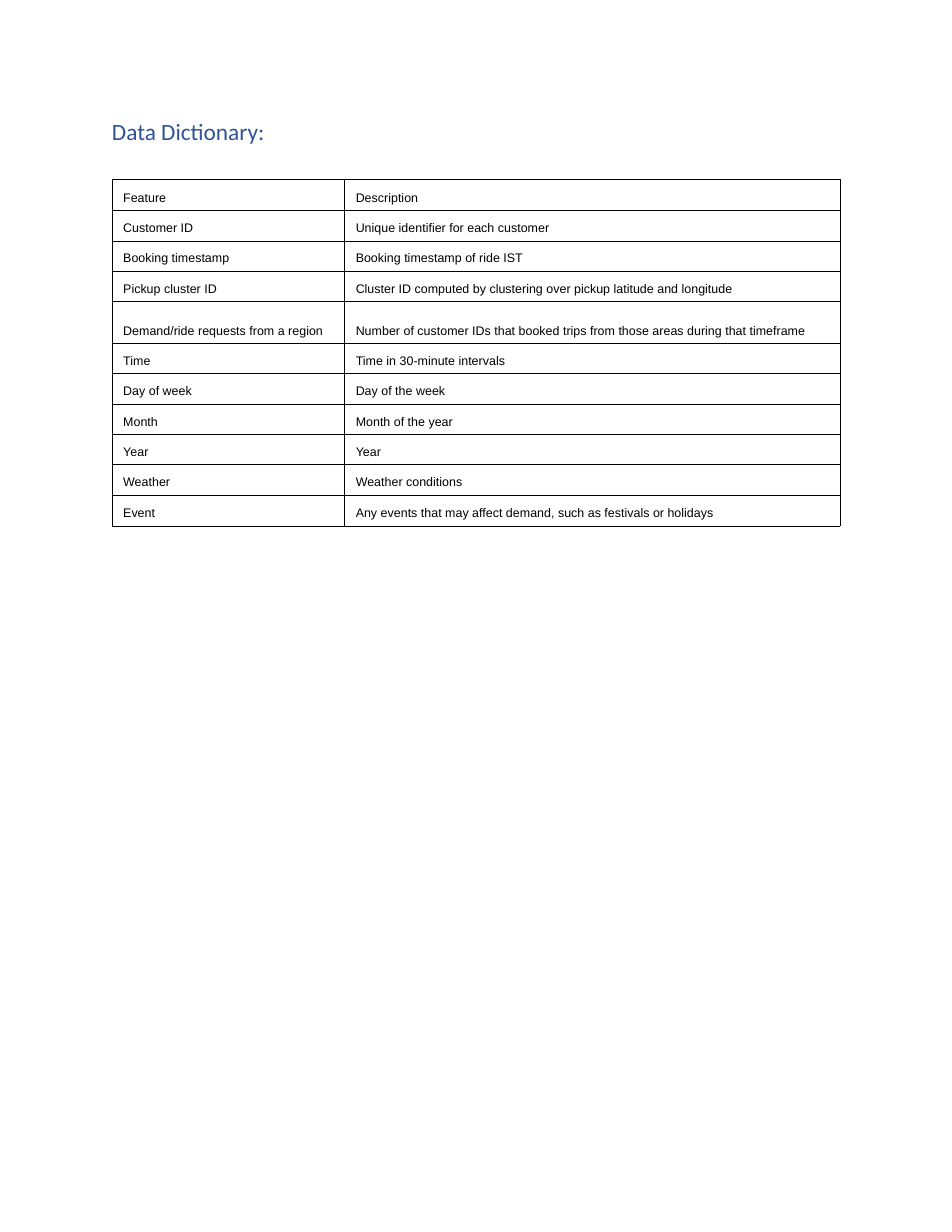
import pptx
import pptx.dml.color
import pptx.enum.text
import pptx.oxml
import pptx.oxml.ns
import pptx.util

Pt = pptx.util.Pt
PP_ALIGN = pptx.enum.text.PP_ALIGN
ANCHOR = pptx.enum.text.MSO_ANCHOR

LEFT = 72
COLUMN_WIDTHS = (149.5, 318.5)
ROW_HEIGHT, EDGE_ROW_HEIGHT, TALL_ROW_HEIGHT = 19.5, 20, 27
TALL_ROW = 4
BORDER_WIDTH = 0.45

HEADING_FONT = {"name": "Calibri", "size": Pt(15)}
CELL_FONT = {"name": "Arial", "size": Pt(8)}
CELL_FORMAT = {
    "vertical_anchor": ANCHOR.BOTTOM,
    "margin_left": Pt(7.2),
    "margin_right": Pt(7.2),
    "margin_top": Pt(3.6),
    "margin_bottom": Pt(3.6),
}

FEATURES = [
    ("Feature", "Description"),
    ("Customer ID", "Unique identifier for each customer"),
    ("Booking timestamp", "Booking timestamp of ride IST"),
    ("Pickup cluster ID",
     "Cluster ID computed by clustering over pickup latitude and longitude"),
    ("Demand/ride requests from a region",
     "Number of customer IDs that booked trips from those areas during that timeframe"),
    ("Time", "Time in 30-minute intervals"),
    ("Day of week", "Day of the week"),
    ("Month", "Month of the year"),
    ("Year", "Year"),
    ("Weather", "Weather conditions"),
    ("Event", "Any events that may affect demand, such as festivals or holidays"),
]


def rgb(hex_color):
    return pptx.dml.color.RGBColor.from_string(hex_color)


def set_format(target, values):
    for name, value in values.items():
        setattr(target, name, value)


def write_text(paragraph, wording, font_format, color):
    run = paragraph.add_run()
    run.text = wording
    set_format(run.font, font_format)
    run.font.color.rgb = rgb(color)


def add_heading(slide, wording):
    heading = slide.shapes.add_textbox(Pt(LEFT), Pt(75.6), Pt(103.7), Pt(15.8))
    set_format(heading.text_frame, {
        "word_wrap": False, "vertical_anchor": ANCHOR.TOP,
        "margin_left": 0, "margin_right": 0, "margin_top": 0, "margin_bottom": 0,
    })
    write_text(heading.text_frame.paragraphs[0], wording, HEADING_FONT, "2F5496")


def add_borders(cell, color):
    """Outline all four sides; borders must come before the fill in tcPr."""
    properties = cell._tc.get_or_add_tcPr()
    for position, side in enumerate(("lnL", "lnR", "lnT", "lnB")):
        border = pptx.oxml.parse_xml(
            f'<a:{side} {pptx.oxml.ns.nsdecls("a")} w="{Pt(BORDER_WIDTH)}">'
            f'<a:solidFill><a:srgbClr val="{color}"/></a:solidFill></a:{side}>')
        properties.insert(position, border)


def row_height(row_index):
    if row_index == TALL_ROW:
        return TALL_ROW_HEIGHT
    if row_index in (0, len(FEATURES) - 1):
        return EDGE_ROW_HEIGHT
    return ROW_HEIGHT


def add_dictionary_table(slide):
    heights = [row_height(index) for index in range(len(FEATURES))]
    table = slide.shapes.add_table(
        len(FEATURES), len(COLUMN_WIDTHS), Pt(LEFT), Pt(115.4),
        Pt(sum(COLUMN_WIDTHS)), Pt(sum(heights))).table
    set_format(table, {"first_row": False, "horz_banding": False})
    for column, width in zip(table.columns, COLUMN_WIDTHS):
        column.width = Pt(width)
    for row_index, entry in enumerate(FEATURES):
        table.rows[row_index].height = Pt(heights[row_index])
        for column_index, wording in enumerate(entry):
            cell = table.cell(row_index, column_index)
            set_format(cell, CELL_FORMAT)
            cell.fill.background()
            add_borders(cell, "000000")
            paragraph = cell.text_frame.paragraphs[0]
            paragraph.alignment = PP_ALIGN.JUSTIFY if column_index else PP_ALIGN.LEFT
            if row_index == TALL_ROW:
                paragraph.line_spacing = Pt(11.5)
            write_text(paragraph, wording, CELL_FONT, "000000")


def main():
    presentation = pptx.Presentation()
    set_format(presentation, {"slide_width": Pt(612), "slide_height": Pt(792)})
    slide = presentation.slides.add_slide(presentation.slide_layouts[6])
    add_heading(slide, "Data Dictionary:")
    add_dictionary_table(slide)
    presentation.save("out.pptx")


if __name__ == "__main__":
    main()
